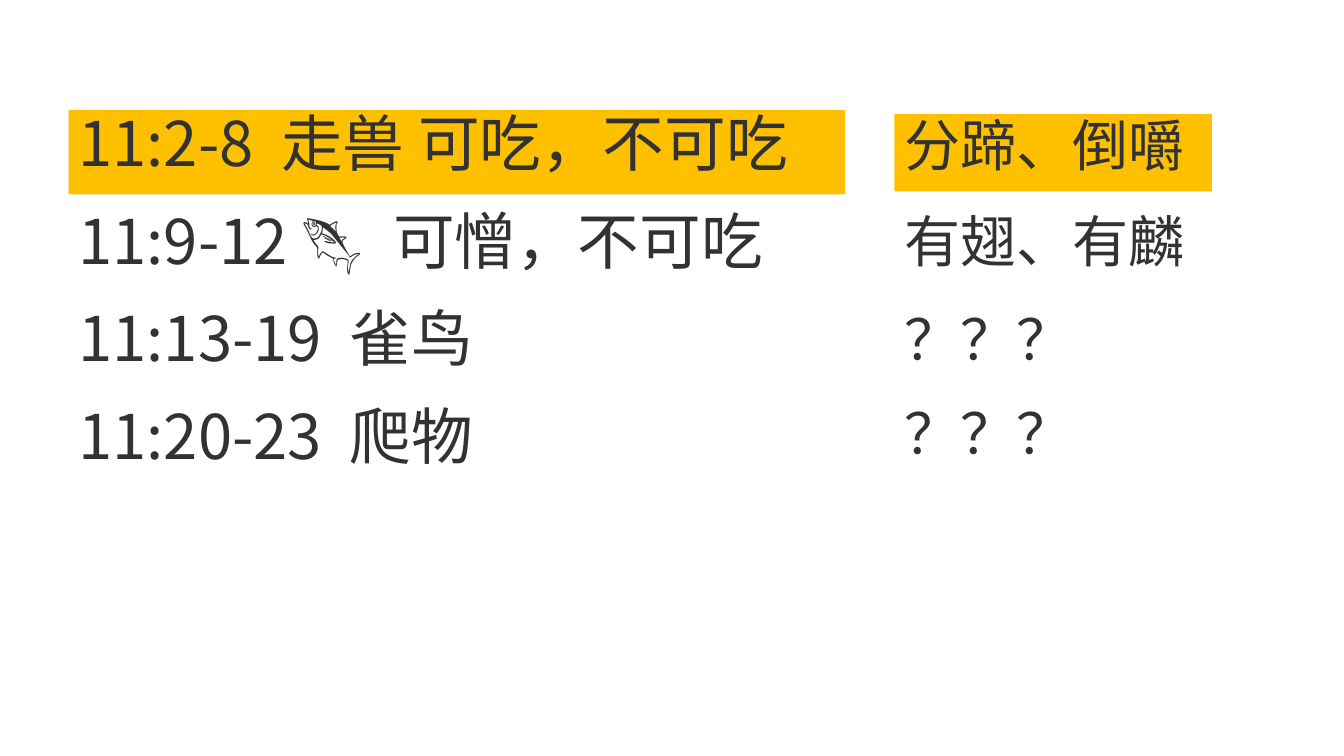
from lxml import etree
from pptx import Presentation
from pptx import util as u
from pptx.dml.color import RGBColor
from pptx.enum import shapes, text
from pptx.oxml.ns import qn

AMBER = RGBColor(0xFF, 0xC0, 0x00)
CHARCOAL = RGBColor(0x32, 0x32, 0x32)


class SlideBuilder:
    """Holds the text style and the current slide."""

    font_name = "Noto Sans CJK SC"
    line_spacing = 0.88

    def __init__(self, slide):
        self.slide = slide

    def text_box(self, box, words, size, tab=None):
        shape = self.slide.shapes.add_textbox(*map(u.Inches, box))
        self.set_text(shape, words, size, tab)

    def highlight(self, box, words, size, tab=None):
        shape = self.slide.shapes.add_shape(
            shapes.MSO_SHAPE.RECTANGLE, *map(u.Inches, box))
        shape.shadow.inherit = False
        shape.fill.solid()
        shape.fill.fore_color.rgb = AMBER
        shape.line.fill.background()
        self.set_text(shape, words, size, tab)

    def set_text(self, shape, words, size, tab):
        frame = shape.text_frame
        frame.word_wrap = True
        frame.auto_size = text.MSO_AUTO_SIZE.NONE
        frame.vertical_anchor = text.MSO_ANCHOR.TOP
        frame.margin_bottom = 0
        paragraph = frame.paragraphs[0]
        paragraph.alignment = text.PP_ALIGN.LEFT
        paragraph.line_spacing = self.line_spacing
        if tab:
            self.add_tab_stop(paragraph, tab)
        run = paragraph.add_run()
        run.text = words
        run.font.size = u.Pt(size)
        run.font.color.rgb = CHARCOAL
        run.font.name = self.font_name
        # East Asian characters take their own typeface
        properties = run._r.get_or_add_rPr()
        etree.SubElement(properties, qn("a:ea"), typeface=self.font_name)

    def add_tab_stop(self, paragraph, position):
        stops = etree.SubElement(paragraph._p.get_or_add_pPr(), qn("a:tabLst"))
        etree.SubElement(stops, qn("a:tab"), pos=str(u.Inches(position)), algn="l")


presentation = Presentation()
presentation.slide_width = u.Inches(13.33)
presentation.slide_height = u.Inches(7.5)
builder = SlideBuilder(presentation.slides.add_slide(presentation.slide_layouts[6]))

# Verses: top, words, tab stop after the reference
VERSES = [
    (1.09, "11:2-8\t走兽 可吃，不可吃", 2.01),
    (2.06, "11:9-12 🐟\t可憎，不可吃", 3.12),
    (3.02, "11:13-19\t雀鸟", 2.69),
    (3.99, "11:20-23\t爬物", 2.69),
]
# Signs of clean animals: top, width, words
SIGNS = [
    (1.13, 3.15, "分蹄、倒嚼"),
    (2.09, 3.15, "有翅、有麟"),
    (3.06, 3.02, "？？？"),
    (3.99, 2.84, "？？？"),
]

# The first row of each column is highlighted
for row, (top, words, tab) in enumerate(VERSES):
    add = builder.text_box if row else builder.highlight
    add((0.68, top, 7.7, 0.84), words, 44, tab)

for row, (top, width, words) in enumerate(SIGNS):
    add = builder.text_box if row else builder.highlight
    add((8.87, top, width, 0.77), words, 40)

presentation.save("out.pptx")
